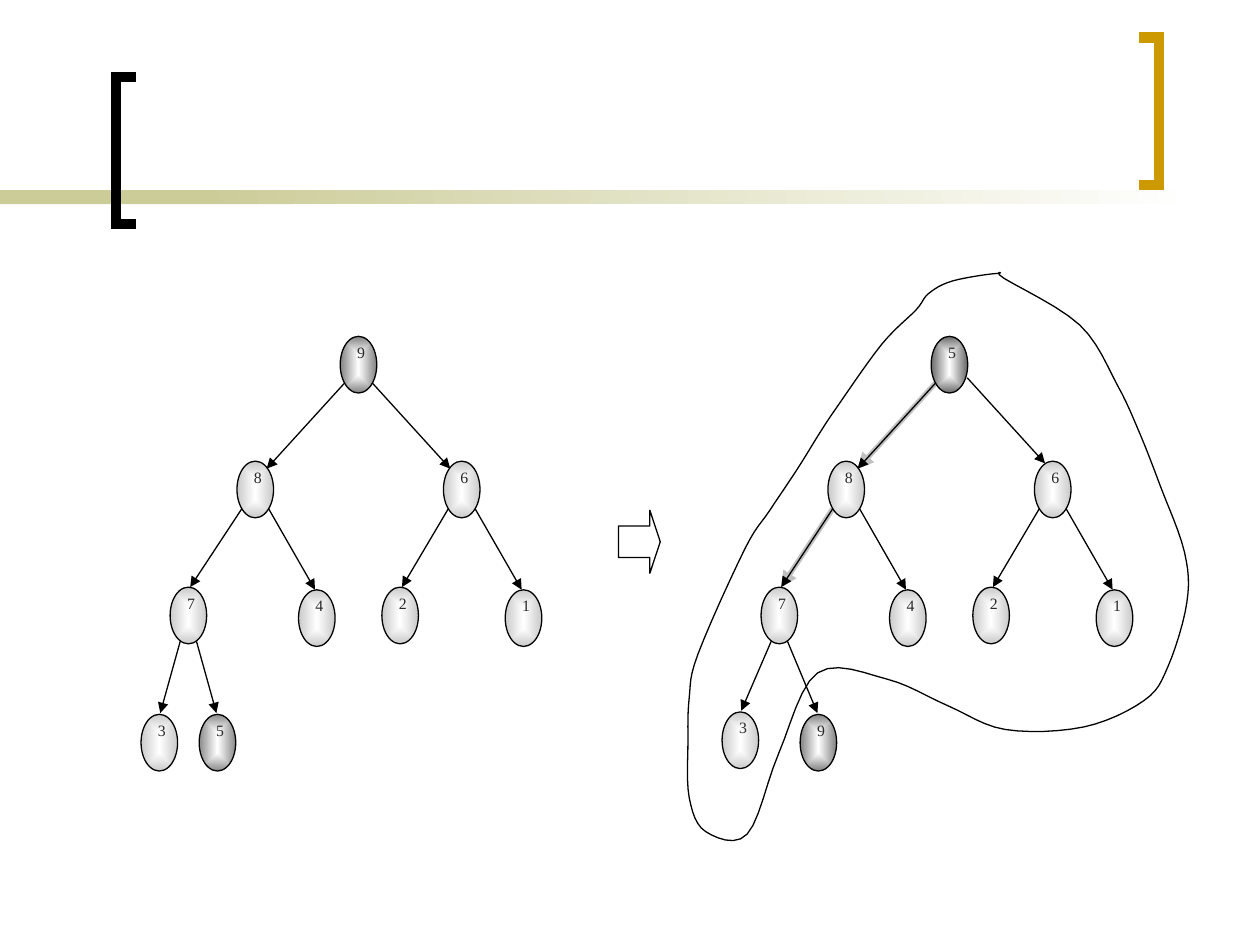
from lxml.etree import SubElement
from pptx import Presentation
from pptx.dml.color import RGBColor as RGB
from pptx.enum.shapes import MSO_CONNECTOR as CONN, MSO_SHAPE as SHAPE
from pptx.enum.text import PP_ALIGN as ALIGN
from pptx.oxml.ns import qn
from pptx.util import Pt

# Theme
THEME = dict(ink="000000", text="292929", paper="FFFFFF", band="CCCC99", gold="CC9900",
             glow="C0C0C0", light="CACACA", mid="8A8A8A", dark="828282", darkest="696969",
             font="Times New Roman", size=9, thin=0.75, glow_width=3, bracket=6)

# Heap slots, named by the turns from the root: left, top
NODE_W, NODE_H = 20.9, 32.4
LABEL_DX, LABEL_W, LABEL_H = -5.7, 35.3, 36
SLOTS = {"": (194.4, 192.2), "l": (135.4, 263.5), "r": (253.4, 263.5),
         "ll": (97.2, 335.5), "lr": (170.6, 337), "rl": (218.2, 335.5), "rr": (288.7, 337),
         "lll": (80.6, 408.2), "llr": (113.8, 408.2)}

# Arrow ends by depth of the child: inset and drop in the parent, then in the child
ARROW_ENDS = {1: (2.5, 26.7, 17, 4.3), 2: (2.8, 27.2, 11.5, 0), 3: (5.8, 31, 11, -0.7)}

# The two heaps: keys follow the order of the slots
BEFORE = dict(dx=0, keys="986742135", slots=SLOTS, glow=[], nudge={},
              shades={"": "dark", "llr": "mid"})
AFTER = dict(dx=337.7, keys="586742139", glow=["l", "ll"], nudge={"r": (2.2, -3)},
             slots={**SLOTS, "lll": (74.9, 406.8), "llr": (119.5, 408.2)},
             shades={"": "darkest", "llr": "dark"})

# Outline of the remaining heap, in steps of 0.72 pt
OUTLINE_STEP = 0.72
OUTLINE = [(756, 223), (737, 233), (727, 246), (700, 273), (665, 322), (651, 343),
           (633, 372), (611, 405), (591, 436), (554, 519), (547, 554), (546, 589),
           (547, 633), (560, 660), (593, 662), (618, 598), (649, 534), (704, 539),
           (752, 560), (798, 579), (860, 577), (908, 556), (927, 529), (942, 478),
           (940, 438), (921, 386), (905, 345), (887, 306), (857, 258), (797, 221),
           (792, 217)]

# Decoration: open-end x, back x, top, colour
BRACKETS = [(77.8, 66.2, 43.9, "ink"), (650.9, 662.4, 21.6, "gold")]
BRACKET_H = 84.2
BAND_TOP, BAND_H = 108.7, 7.9
SWAP_ARROW = (353.5, 291.6, 23.8, 36)


def rgb(name):
    return RGB.from_string(THEME[name])


def set_line(sp, color="ink", width="thin", extra=None, **attrs):
    sp.line.fill.solid()
    sp.line.color.rgb = rgb(color)
    sp.line.width = Pt(THEME[width])
    if extra:
        SubElement(sp._element.spPr.find(qn("a:ln")), qn(extra), **attrs)


def set_fill(sp, color):
    sp.fill.solid()
    sp.fill.fore_color.rgb = rgb(color)


def set_gradient(sp, *colors):
    sp.fill.gradient()
    sp.fill.gradient_angle = 0
    for stop, color, pos in zip(sp.fill.gradient_stops, colors, (0, 1)):
        stop.color.rgb = rgb(color)
        stop.position = pos


def add_preset(kind, *box):
    sp = shapes.add_shape(kind, *map(Pt, box))
    sp.shadow.inherit = False
    return sp


def add_freeform(points, closed):
    pts = [(Pt(x), Pt(y)) for x, y in points]
    fb = shapes.build_freeform(*pts[0])
    fb.add_line_segments(pts[1:], close=closed)
    sp = fb.convert_to_shape()
    sp.shadow.inherit = False
    return sp


def add_node(x, y, key, shade):
    sp = add_preset(SHAPE.OVAL, x, y, NODE_W, NODE_H)
    set_gradient(sp, "paper", shade)
    grad = sp._element.spPr.find(qn("a:gradFill"))
    grad.remove(grad.find(qn("a:lin")))
    center = SubElement(grad, qn("a:path"), path="rect")
    SubElement(center, qn("a:fillToRect"), **dict.fromkeys("ltrb", "50000"))
    set_line(sp)
    tf = shapes.add_textbox(Pt(x + LABEL_DX), Pt(y), Pt(LABEL_W), Pt(LABEL_H)).text_frame
    tf.word_wrap = True
    p = tf.paragraphs[0]
    p.alignment = ALIGN.CENTER
    r = p.add_run()
    r.text = key
    for name, value in dict(name=THEME["font"], size=Pt(THEME["size"])).items():
        setattr(r.font, name, value)
    r.font.color.rgb = rgb("text")


def add_arrow(heap, child, color="ink", width="thin"):
    (px, py), (cx, cy) = heap["slots"][child[:-1]], heap["slots"][child]
    inset, drop, end_inset, end_drop = ARROW_ENDS[len(child)]
    if child.endswith("r"):
        inset, end_inset = NODE_W - inset, NODE_W - end_inset
    nx, ny = heap["nudge"].get(child, (0, 0))
    nx += heap["dx"]
    c = shapes.add_connector(CONN.STRAIGHT, Pt(px + inset + nx), Pt(py + drop + ny),
                             Pt(cx + end_inset + nx), Pt(cy + end_drop + ny))
    set_line(c, color, width, "a:tailEnd", type="triangle")
    SubElement(c._element.spPr, qn("a:effectLst"))


def add_heap(heap):
    for child in heap["glow"]:
        add_arrow(heap, child, "glow", "glow_width")
    for key, (slot, (x, y)) in zip(heap["keys"], heap["slots"].items()):
        add_node(x + heap["dx"], y, key, heap["shades"].get(slot, "light"))
    for child in filter(None, heap["slots"]):
        add_arrow(heap, child)


def smooth_loop(points, steps=6):
    """Closed Catmull-Rom curve through the points."""
    n = len(points)
    for i in range(n):
        around = [points[(i + k) % n] for k in (-1, 0, 1, 2)]
        for t in (s / steps for s in range(steps)):
            yield tuple(b + t / 2 * (c - a + t * (2 * a - 5 * b + 4 * c - d
                                                  + t * (3 * (b - c) + d - a)))
                        for a, b, c, d in zip(*around))


prs = Presentation()
prs.slide_width, prs.slide_height = Pt(720), Pt(540)
shapes = prs.slides.add_slide(prs.slide_layouts[6]).shapes

# Band and brackets
solid = add_preset(SHAPE.RECTANGLE, 0, BAND_TOP, 167.8, BAND_H)
set_fill(solid, "band")
fade = add_preset(SHAPE.RECTANGLE, 113.8, BAND_TOP, 570.2, BAND_H)
set_gradient(fade, "band", "paper")
for sp in (solid, fade):
    sp.line.fill.background()
for tip, back, top, color in BRACKETS:
    bottom = top + BRACKET_H
    sp = add_freeform([(tip, top), (back, top), (back, bottom), (tip, bottom)], False)
    sp.fill.background()
    set_line(sp, color, "bracket", "a:miter", lim="800000")

# Heap before the swap
add_heap(BEFORE)

# Outline, then the heap after the swap
outline = add_freeform([(x * OUTLINE_STEP, y * OUTLINE_STEP)
                        for x, y in smooth_loop(OUTLINE)], True)
set_fill(outline, "paper")
set_line(outline)
add_heap(AFTER)

# Arrow between the heaps
swap = add_preset(SHAPE.RIGHT_ARROW, *SWAP_ARROW)
swap.adjustments[0], swap.adjustments[1] = 0.5, 0.25
set_fill(swap, "paper")
set_line(swap)

prs.save("out.pptx")
